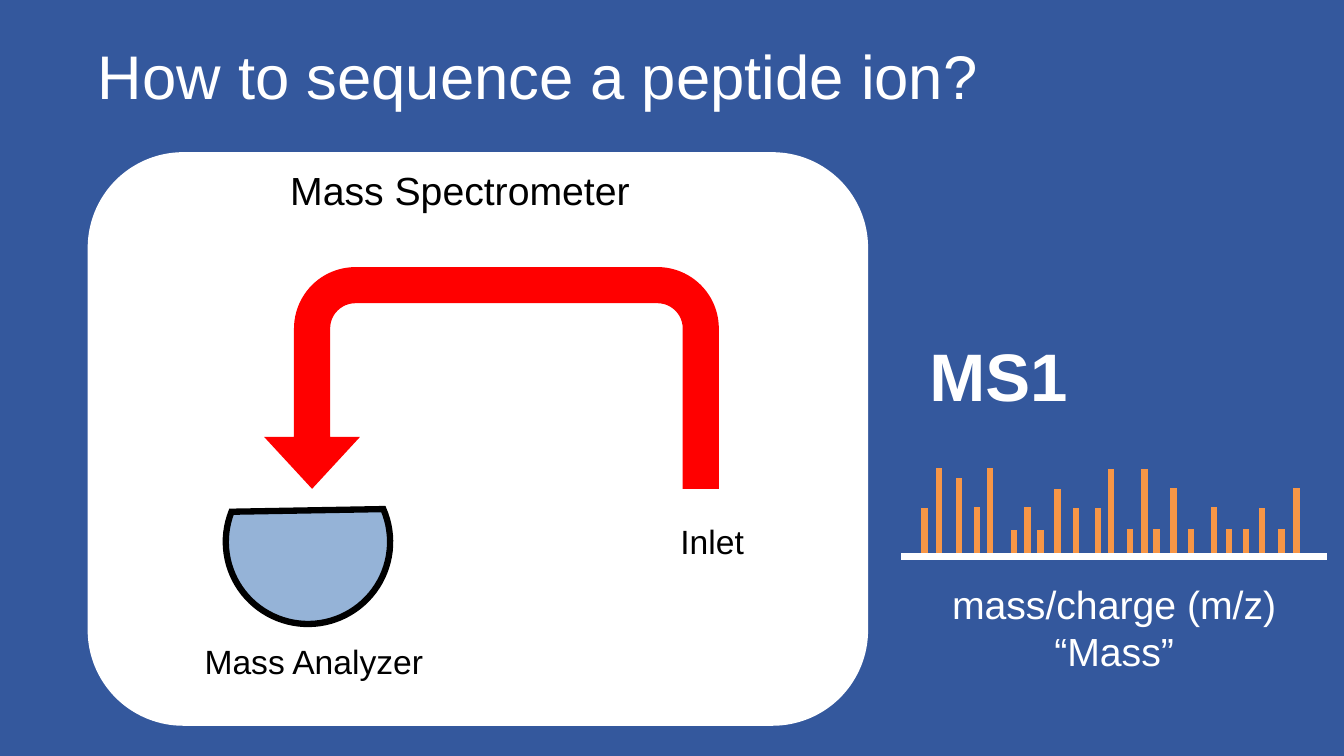
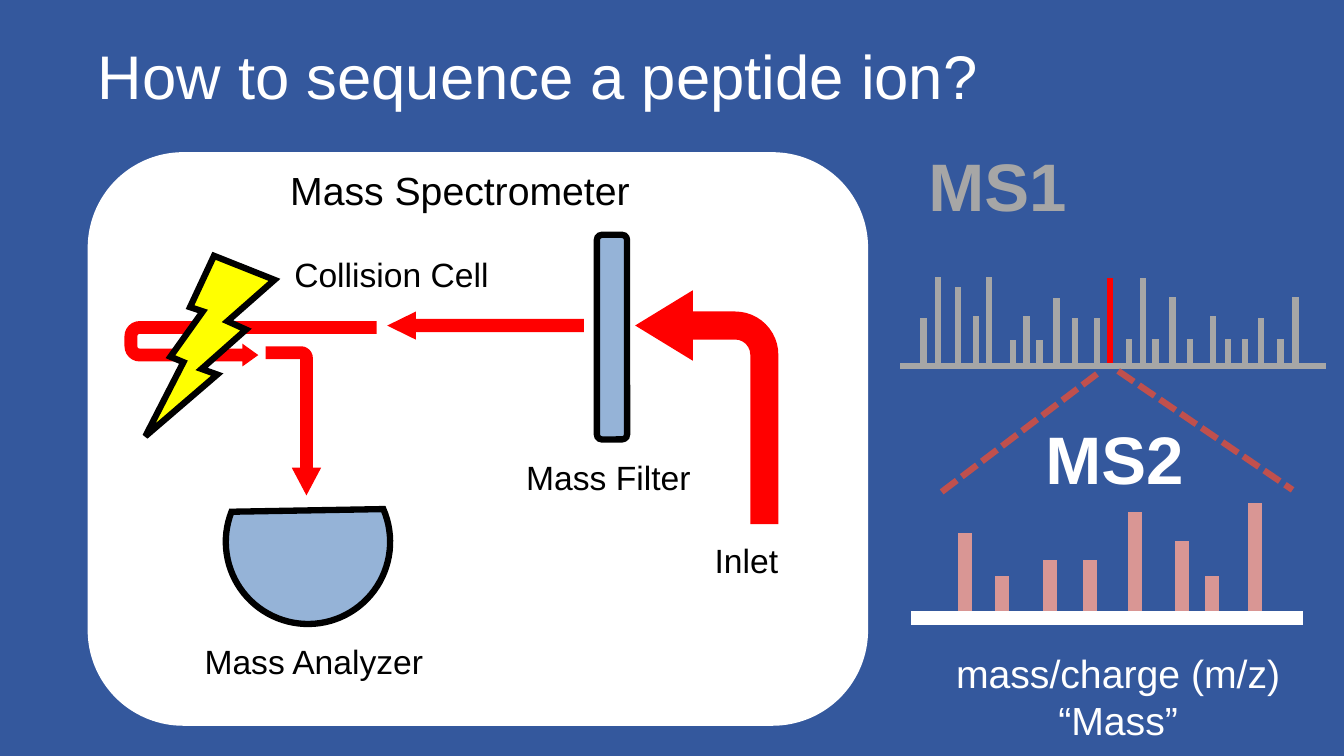
"""Build two slides that explain how a mass spectrometer sequences a peptide ion."""
from lxml.etree import SubElement
from pptx import Presentation
from pptx.dml.color import RGBColor
from pptx.enum.dml import MSO_LINE
from pptx.enum.shapes import MSO_CONNECTOR, MSO_SHAPE
from pptx.enum.text import MSO_ANCHOR, MSO_AUTO_SIZE, PP_ALIGN
from pptx.oxml.ns import qn
from pptx.util import Pt

PX = 9144
SIZE = 1333, 750
BLUE, WHITE, BLACK, GREY = "34589D", "FFFFFF", "000000", "A6A6A6"
RED, ORANGE, PINK, BRICK = "FF0000", "F79646", "D99694", "C0504D"
STEEL, YELLOW = "95B3D7", "FFFF00"
TITLE = "How to sequence a peptide ion?"
TITLE_BOX = 87, 6, 1150, 145

LABEL = {"size": Pt(24), "bold": False, "name": "Arial"}
HEAD = {**LABEL, "size": Pt(28)}
STAGE = {**LABEL, "size": Pt(48), "bold": True}
TOP = {**LABEL, "size": Pt(44)}

MS1 = [(23, 48), (37, 88), (57, 78), (75, 49), (88, 88), (112, 26), (125, 49),
       (138, 26), (155, 67), (173, 48), (195, 48), (208, 87), (227, 27),
       (241, 87), (253, 27), (270, 68), (287, 27), (310, 49), (325, 27),
       (342, 27), (358, 48), (377, 27), (392, 68)]
MS2 = [(53, 84), (90, 42), (137, 57), (177, 57), (222, 105), (268, 76),
       (298, 42), (341, 114)]
PICKED = 208

AXIS = ["mass/charge (m/z)", "“Mass”"]
PANEL = {"kind": MSO_SHAPE.ROUNDED_RECTANGLE, "box": (87, 151, 774, 569), "fill": WHITE}
BOWL = {"kind": MSO_SHAPE.CHORD, "box": (224, 456, 163, 163), "fill": STEEL,
        "edge": BLACK, "turn": 291.5}
SHARED = [
    (["Mass Spectrometer"], (278, 160, 361, 57), HEAD, BLACK),
    (["Mass Analyzer"], (193, 631, 239, 50), LABEL, BLACK),
]

SLIDES = [
    {
        "spectra": [
            {"peaks": MS1, "at": (894, 552), "span": 422, "width": 4.5,
             "color": ORANGE, "axis": WHITE},
        ],
        "zoom": [],
        "shapes": [
            {"kind": MSO_SHAPE.U_TURN_ARROW, "box": (262, 265, 451, 220), "fill": RED,
             "flip": True, "adjust": (0.163, 0.216, 0.234, 0.277, 1)},
        ],
        "texts": [
            (["MS1"], (912, 327, 159, 91), STAGE, WHITE),
            (AXIS, (932, 571, 346, 104), HEAD, WHITE),
            (["Inlet"], (665, 512, 84, 50), LABEL, BLACK),
        ],
    },
    {
        "spectra": [
            {"peaks": MS1, "at": (893, 363), "span": 422, "width": 4.5,
             "color": GREY, "axis": GREY, "picked": PICKED},
            {"peaks": MS2, "at": (904, 613), "span": 388, "width": 10,
             "color": PINK, "axis": WHITE},
        ],
        "zoom": [(1109, 368, 1282, 486), (934, 488, 1088, 371)],
        "shapes": [
            {"kind": MSO_SHAPE.BENT_ARROW, "box": (630, 288, 142, 232), "fill": RED,
             "flip": True, "adjust": (0.196, 0.246, 0.402, 0.302)},
            {"kind": MSO_SHAPE.U_TURN_ARROW, "box": (226, 216, 45, 250), "fill": RED,
             "flip": True, "turn": 270, "adjust": (0.284, 0.25, 0.349, 0.334, 0.531)},
            {"kind": MSO_SHAPE.BENT_ARROW, "box": (217, 390, 148, 55), "fill": RED,
             "turn": 90, "adjust": (0.231, 0.265, 0.5, 0.213)},
            {"kind": MSO_SHAPE.LEFT_ARROW, "box": (384, 309, 195, 28), "fill": RED,
             "adjust": (0.471, 1.021)},
            {"kind": MSO_SHAPE.ROUNDED_RECTANGLE, "box": (592, 233, 30, 203),
             "fill": STEEL, "edge": BLACK},
            {"kind": MSO_SHAPE.LIGHTNING_BOLT, "box": (134, 255, 145, 170),
             "fill": YELLOW, "edge": BLACK, "flip": True, "turn": 353.4},
        ],
        "texts": [
            (["MS1"], (911, 138, 159, 91), STAGE, GREY),
            (["MS2"], (1027, 409, 159, 91), STAGE, WHITE),
            (AXIS, (936, 639, 346, 104), HEAD, WHITE),
            (["Inlet"], (699, 531, 84, 50), LABEL, BLACK),
            (["Mass Filter"], (512, 448, 185, 50), LABEL, BLACK),
            (["Collision Cell"], (282, 247, 215, 50), LABEL, BLACK),
        ],
    },
]


def emu(nums):
    return [num * PX for num in nums]


def paint(fill, color):
    fill.solid()
    fill.fore_color.rgb = RGBColor.from_string(color)


def style(font, form, color):
    for key, value in form.items():
        setattr(font, key, value)
    font.color.rgb = RGBColor.from_string(color)


def add_line(shapes, ends, color, width):
    line = shapes.add_connector(MSO_CONNECTOR.STRAIGHT, *emu(ends))
    paint(line.line.fill, color)
    line.line.width = Pt(width)
    SubElement(line.element.spPr, qn("a:effectLst"))
    return line


def add_plot(slide, peaks, at, span, width, color, axis, picked=None):
    left, base = at
    shapes = slide.shapes.add_group_shape().shapes
    for step, height in peaks:
        x = left + step
        add_line(shapes, (x, base, x, base - height), RED if step == picked else color, width)
    add_line(shapes, (left, base, left + span, base), axis, width)


def add_part(slide, kind, box, fill, edge=None, turn=0, flip=False, adjust=()):
    part = slide.shapes.add_shape(kind, *emu(box))
    part.shadow.inherit = False
    part.rotation = turn
    paint(part.fill, fill)
    for i, value in enumerate(adjust):
        part.adjustments[i] = value
    if flip:
        part.element.spPr.find(qn("a:xfrm")).set("flipH", "1")
    if edge:
        paint(part.line.fill, edge)
        part.line.width = Pt(4.5)
        SubElement(part.element.spPr.find(qn("a:ln")), qn("a:miter"), lim="800000")
    else:
        part.line.fill.background()


def add_text(slide, lines, box, form, color):
    frame = slide.shapes.add_textbox(*emu(box)).text_frame
    frame.word_wrap = False
    frame.auto_size = MSO_AUTO_SIZE.SHAPE_TO_FIT_TEXT
    frame.text = "\n".join(lines)
    for para in frame.paragraphs:
        para.alignment = PP_ALIGN.CENTER if len(lines) > 1 else PP_ALIGN.LEFT
        style(para.font, form, color)


def add_title(slide):
    title = slide.shapes.title
    title.left, title.top, title.width, title.height = emu(TITLE_BOX)
    frame = title.text_frame
    frame.text = TITLE
    frame.vertical_anchor = MSO_ANCHOR.MIDDLE
    para = frame.paragraphs[0]
    para.alignment = PP_ALIGN.LEFT
    para.line_spacing = 0.9
    style(para.font, TOP, WHITE)


def add_slide(deck, data):
    slide = deck.slides.add_slide(deck.slide_layouts[5])
    add_title(slide)
    for plot in data["spectra"]:
        add_plot(slide, **plot)
    for ends in data["zoom"]:
        add_line(slide.shapes, ends, BRICK, 4.5).line.dash_style = MSO_LINE.SQUARE_DOT
    for part in [PANEL, BOWL] + data["shapes"]:
        add_part(slide, **part)
    for text in SHARED + data["texts"]:
        add_text(slide, *text)


def main():
    deck = Presentation()
    deck.slide_width, deck.slide_height = emu(SIZE)
    paint(deck.slide_master.background.fill, BLUE)
    for data in SLIDES:
        add_slide(deck, data)
    deck.save("out.pptx")


if __name__ == "__main__":
    main()
